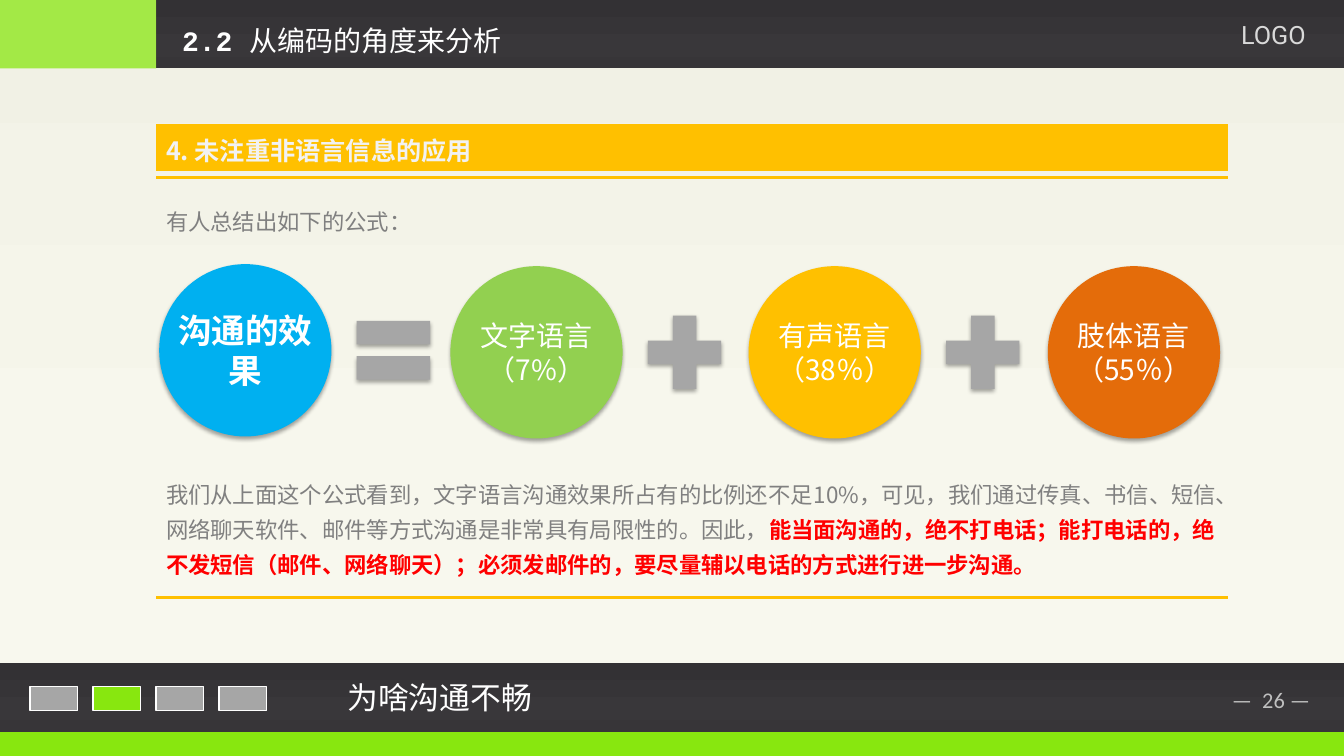
"""Build the slide on the formula for effective communication."""
from pptx import Presentation
from pptx.dml.color import RGBColor
from pptx.enum.shapes import MSO_CONNECTOR, MSO_SHAPE
from pptx.enum.text import MSO_ANCHOR, PP_ALIGN
from pptx.oxml import parse_xml
from pptx.oxml.ns import nsdecls, qn
from pptx.util import Inches, Pt
from lxml import etree

RECT, OVAL, PROCESS = MSO_SHAPE.RECTANGLE, MSO_SHAPE.OVAL, MSO_SHAPE.FLOWCHART_PROCESS
PLUS, EQUAL = MSO_SHAPE.MATH_PLUS, MSO_SHAPE.MATH_EQUAL
STRAIGHT = MSO_CONNECTOR.STRAIGHT
TOP, MIDDLE = MSO_ANCHOR.TOP, MSO_ANCHOR.MIDDLE
LEFT, CENTER = PP_ALIGN.LEFT, PP_ALIGN.CENTER

THEME = {
    "lime": "88E70F", "amber": "FFC000", "sky": "00B0F0", "leaf": "92D050",
    "rust": "E46C0A", "silver": "A6A6A6", "white": "FFFFFF", "red": "FF0000",
    "body": "808080", "heading": "F2F2F2", "logo": "D9D9D9", "page": "BFBFBF",
    "dark": [(0, "333134"), (74, "39373A"), (83, "373538"), (100, "363436")],
    "paper": [(0, "F1F1E5"), (74, "F7F7ED"), (83, "F8F8EE"), (100, "F9F9EF")],
    "cjk": "Noto Sans CJK SC", "mono": "Courier New", "sans": "Calibri", "label": "Roboto",
    "size_body": 16, "size_heading": 18, "size_title": 20, "size_footer": 22, "size_result": 24,
}
WIDTH, HEIGHT = 13.34, 7.5
MARGIN, CONTENT = 1.55, 10.64
BAR = 0.68
FOOTER = 6.58

prs = Presentation()
prs.slide_width, prs.slide_height = Inches(WIDTH), Inches(HEIGHT)
slide = prs.slides.add_slide(prs.slide_layouts[6])
shapes = slide.shapes


def draw(kind, box, fill, outline=None, shadow=False):
    """Add a preset shape with a solid or gradient theme fill."""
    shape = shapes.add_shape(kind, *map(Inches, box))
    shape.shadow.inherit = False
    paint = THEME[fill]
    if isinstance(paint, list):
        shape.fill.gradient()
        shape.fill.gradient_angle = 270
        stops = shape._element.spPr.find(".//" + qn("a:gsLst"))
        stops.clear()
        for share, color in paint:
            stop = etree.SubElement(stops, qn("a:gs"), pos=str(share * 1000))
            etree.SubElement(stop, qn("a:srgbClr"), val=color)
    else:
        shape.fill.solid()
        shape.fill.fore_color.rgb = RGBColor.from_string(paint)
    if outline:
        shape.line.color.rgb = RGBColor.from_string(THEME[outline])
        shape.line.width = Pt(1.2)
    else:
        shape.line.fill.background()
    if shadow:
        shape._element.spPr.find(qn("a:effectLst")).append(parse_xml(
            f'<a:outerShdw {nsdecls("a")} blurRad="{Pt(3.1)}" dist="{Pt(1.8)}" dir="5400000" '
            'rotWithShape="0"><a:srgbClr val="000000"><a:alpha val="35000"/></a:srgbClr></a:outerShdw>'))
    return shape


def write(*texts, box=None, holder=None, size="size_body", font="cjk", color="body", bold=False,
          align=LEFT, anchor=TOP, inset=None, spacing=None, wrap=True):
    """Write text runs, each a string or a (string, overrides) pair, in a holder or a new box."""
    frame = (holder or shapes.add_textbox(*map(Inches, box))).text_frame
    frame.word_wrap, frame.vertical_anchor = wrap, anchor
    if inset is not None:
        frame.margin_left = frame.margin_right = frame.margin_top = frame.margin_bottom = Inches(inset)
    paragraph = frame.paragraphs[0]
    paragraph.alignment = align
    if spacing:
        paragraph.line_spacing = spacing
    for item in texts:
        text, changes = (item, {}) if isinstance(item, str) else item
        look = {"font": font, "color": color, "bold": bold, **changes}
        run = paragraph.add_run()
        run.text = text
        run.font.size, run.font.bold = Pt(THEME[size]), look["bold"]
        run.font.color.rgb = RGBColor.from_string(THEME[look["color"]])
        run.font.name = THEME[look["font"]]
        etree.SubElement(run._r.rPr, qn("a:ea"), typeface=THEME[look["font"]])


draw(RECT, (0, 0, WIDTH, FOOTER), "paper")
draw(RECT, (0, FOOTER + BAR, WIDTH, HEIGHT - FOOTER - BAR), "lime")
draw(RECT, (0, FOOTER, WIDTH, BAR), "dark")
draw(RECT, (MARGIN, 0, WIDTH - MARGIN, BAR), "dark")
corner = draw(RECT, (0, 0, MARGIN, BAR), "lime")
corner_color = corner._element.spPr.find(qn("a:solidFill")).find(qn("a:srgbClr"))
etree.SubElement(corner_color, qn("a:alpha"), val="74000")

write(("2.2 ", {"font": "mono", "bold": True}), "从编码的角度来分析",
      box=(1.71, 0.18, 3.86, 0.44), size="size_title", color="white")
write("LOGO", box=(12.22, 0.14, 0.98, 0.4), size="size_heading", font="label", color="logo")

for chapter in range(4):
    draw(RECT, (0.3 + chapter * 0.625, 6.81, 0.47, 0.24),
         "lime" if chapter == 1 else "silver", outline="white")
write("为啥沟通不畅", box=(3.35, 6.68, 4.27, 0.47), size="size_footer", color="white")
write("—  26 —", box=(12.13, 6.76, 1.07, 0.37), font="sans", color="page", wrap=False)

for rule_y in (1.76, 5.93):
    rule = shapes.add_connector(STRAIGHT, *map(Inches, (MARGIN, rule_y, MARGIN + CONTENT, rule_y)))
    rule.line.color.rgb = RGBColor.from_string(THEME["amber"])
    rule.line.width = Pt(2.25)
    etree.SubElement(rule._element.spPr, qn("a:effectLst"))

heading = draw(PROCESS, (MARGIN, 1.23, CONTENT, 0.47), "amber")
write("4. 未注重非语言信息的应用", holder=heading, size="size_heading", color="heading",
      bold=True, anchor=MIDDLE, spacing=1.2)
write("有人总结出如下的公式：", box=(MARGIN, 1.94, CONTENT, 0.45), spacing=1.29)
write("我们从上面这个公式看到，文字语言沟通效果所占有的比例还不足10%，可见，我们通过传真、书信、"
      "短信、网络聊天软件、邮件等方式沟通是非常具有局限性的。因此，",
      ("能当面沟通的，绝不打电话；能打电话的，绝不发短信（邮件、网络聊天）；"
       "必须发邮件的，要尽量辅以电话的方式进行进一步沟通。", {"color": "red", "bold": True}),
      box=(MARGIN, 4.65, CONTENT, 1.14), spacing=1.29)

DISC, SIGN, SIGN_OFFSET = 1.71, 0.99, 1.83
formula = [
    (1.58, 2.62, "沟通的效果", "sky", EQUAL, "size_result"),
    (4.47, 2.64, "文字语言（7%）", "leaf", PLUS, "size_title"),
    (7.43, 2.64, "有声语言（38％）", "amber", PLUS, "size_title"),
    (10.4, 2.64, "肢体语言（55％）", "rust", None, "size_title"),
]
for x, y, term, color, sign, size in formula:
    disc_box = (x, y, DISC, DISC)
    draw(OVAL, disc_box, color, shadow=True)
    write(term, box=disc_box, size=size, color="white", bold=size == "size_result",
          align=CENTER, anchor=MIDDLE, inset=0.03)
    if sign:
        draw(sign, (x + SIGN_OFFSET, y + (DISC - SIGN) / 2, SIGN, SIGN), "silver", shadow=True)

prs.save("out.pptx")
